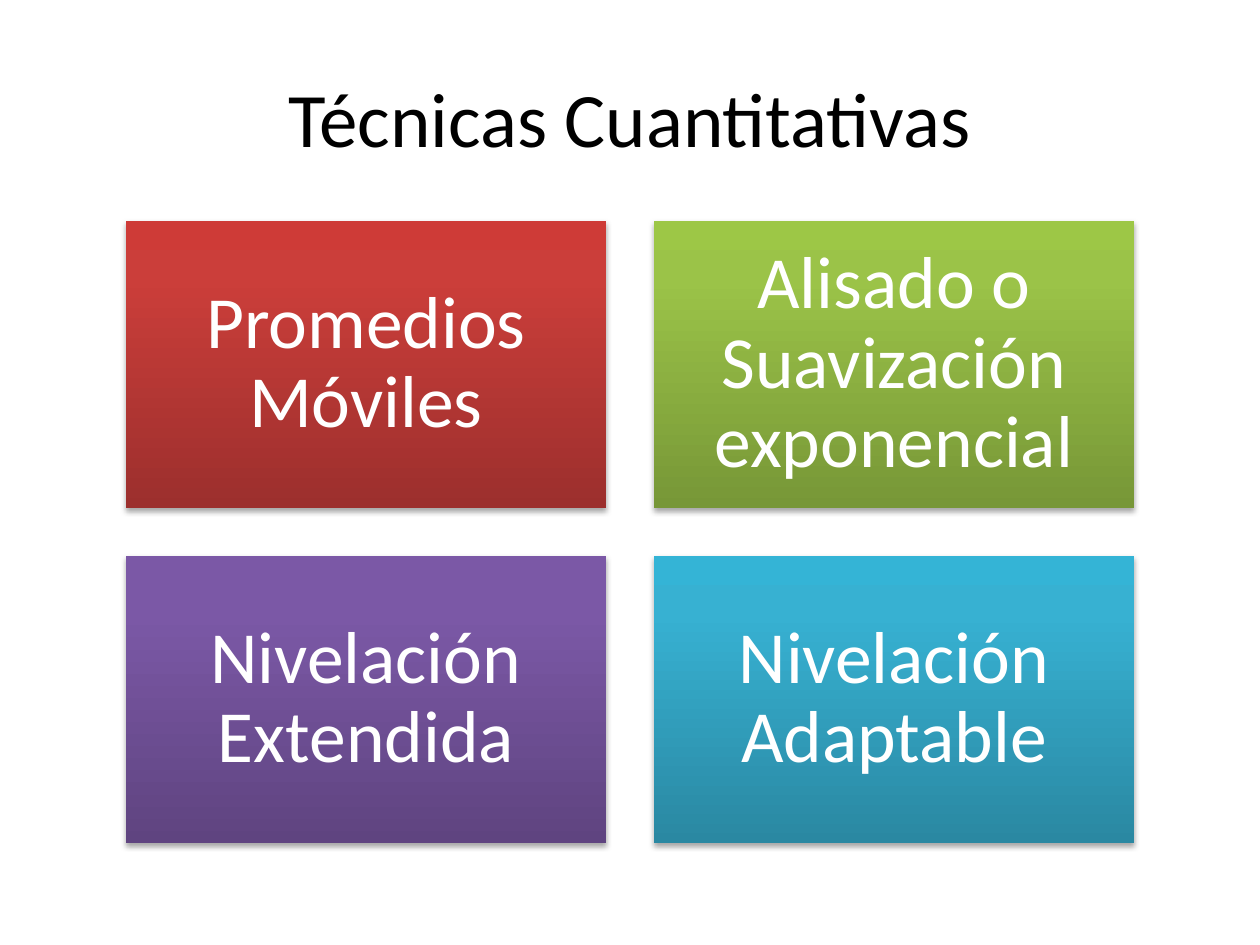
from copy import deepcopy

from lxml.etree import SubElement
from pptx import Presentation
from pptx.dml.color import RGBColor
from pptx.enum.shapes import MSO_SHAPE
from pptx.enum.text import MSO_ANCHOR, PP_ALIGN
from pptx.oxml.ns import qn
from pptx.util import Emu, Pt

EMU_PER_PX = 914400 / 126
FONT = "Calibri"
BLACK = RGBColor(0x00, 0x00, 0x00)
WHITE = RGBColor(0xFF, 0xFF, 0xFF)
RED = (RGBColor(0x9C, 0x2F, 0x2D), RGBColor(0xCB, 0x3E, 0x3A), RGBColor(0xCE, 0x3B, 0x37))
GREEN = (RGBColor(0x77, 0x97, 0x37), RGBColor(0x9B, 0xC3, 0x48), RGBColor(0x9D, 0xC7, 0x46))
PURPLE = (RGBColor(0x5F, 0x44, 0x80), RGBColor(0x7B, 0x58, 0xA6), RGBColor(0x7C, 0x57, 0xA8))
BLUE = (RGBColor(0x2A, 0x88, 0xA2), RGBColor(0x37, 0xB1, 0xD2), RGBColor(0x34, 0xB4, 0xD6))
STOP_POSITIONS = (0, 0.8, 1)

TECHNIQUES = (
    ("Promedios Móviles", RED),
    ("Alisado o Suavización exponencial", GREEN),
    ("Nivelación Extendida", PURPLE),
    ("Nivelación Adaptable", BLUE),
)


def px(length):
    return Emu(round(length * EMU_PER_PX))


def write_text(shape, text, size, color, line_spacing=1.0):
    frame = shape.text_frame
    frame.word_wrap = True
    frame.vertical_anchor = MSO_ANCHOR.MIDDLE
    paragraph = frame.paragraphs[0]
    paragraph.alignment = PP_ALIGN.CENTER
    paragraph.line_spacing = line_spacing
    run = paragraph.add_run()
    run.text = text
    run.font.name = FONT
    run.font.size = Pt(size)
    run.font.color.rgb = color


def fill_gradient(shape, colors):
    shape.fill.gradient()
    shape.fill.gradient_angle = 90
    stop_list = shape._element.spPr.find(".//" + qn("a:gsLst"))
    stop_list.append(deepcopy(stop_list[-1]))
    for stop, position, color in zip(shape.fill.gradient_stops, STOP_POSITIONS, colors):
        stop.position = position
        stop.color.rgb = color


def add_shadow(shape):
    shape.shadow.inherit = False
    effects = shape._element.spPr.find(qn("a:effectLst"))
    shadow = SubElement(
        effects, qn("a:outerShdw"),
        blurRad=str(Pt(3.1)), dist=str(Pt(1.8)), dir="5400000", rotWithShape="0",
    )
    color = SubElement(shadow, qn("a:srgbClr"), val=str(BLACK))
    SubElement(color, qn("a:alpha"), val="35000")


def add_title(slide, left, top, width, height):
    title = slide.shapes.add_textbox(px(left), px(top), px(width), px(height))
    write_text(title, "Técnicas Cuantitativas", 44, BLACK)


def add_tile(slide, left, top, width, height, text, colors):
    tile = slide.shapes.add_shape(
        MSO_SHAPE.RECTANGLE, px(left), px(top), px(width), px(height)
    )
    fill_gradient(tile, colors)
    tile.line.fill.background()
    add_shadow(tile)
    frame = tile.text_frame
    frame.margin_left = frame.margin_right = px(21)
    frame.margin_top = frame.margin_bottom = px(21)
    write_text(tile, text, 42, WHITE, 0.9)


def add_technique_grid(slide, left, top, width, height, gap=48, columns=2):
    rows = len(TECHNIQUES) // columns
    tile_width = (width - gap * (columns - 1)) // columns
    tile_height = (height - gap * (rows - 1)) // rows
    for index, (text, colors) in enumerate(TECHNIQUES):
        row, column = divmod(index, columns)
        add_tile(
            slide,
            left + column * (tile_width + gap),
            top + row * (tile_height + gap),
            tile_width, tile_height, text, colors,
        )


def main():
    presentation = Presentation()
    presentation.slide_width = px(1260)
    presentation.slide_height = px(945)
    slide = presentation.slides.add_slide(presentation.slide_layouts[6])
    add_title(slide, 63, 38, 1134, 158)
    add_technique_grid(slide, 126, 221, 1008, 622)
    presentation.save("out.pptx")


if __name__ == "__main__":
    main()
